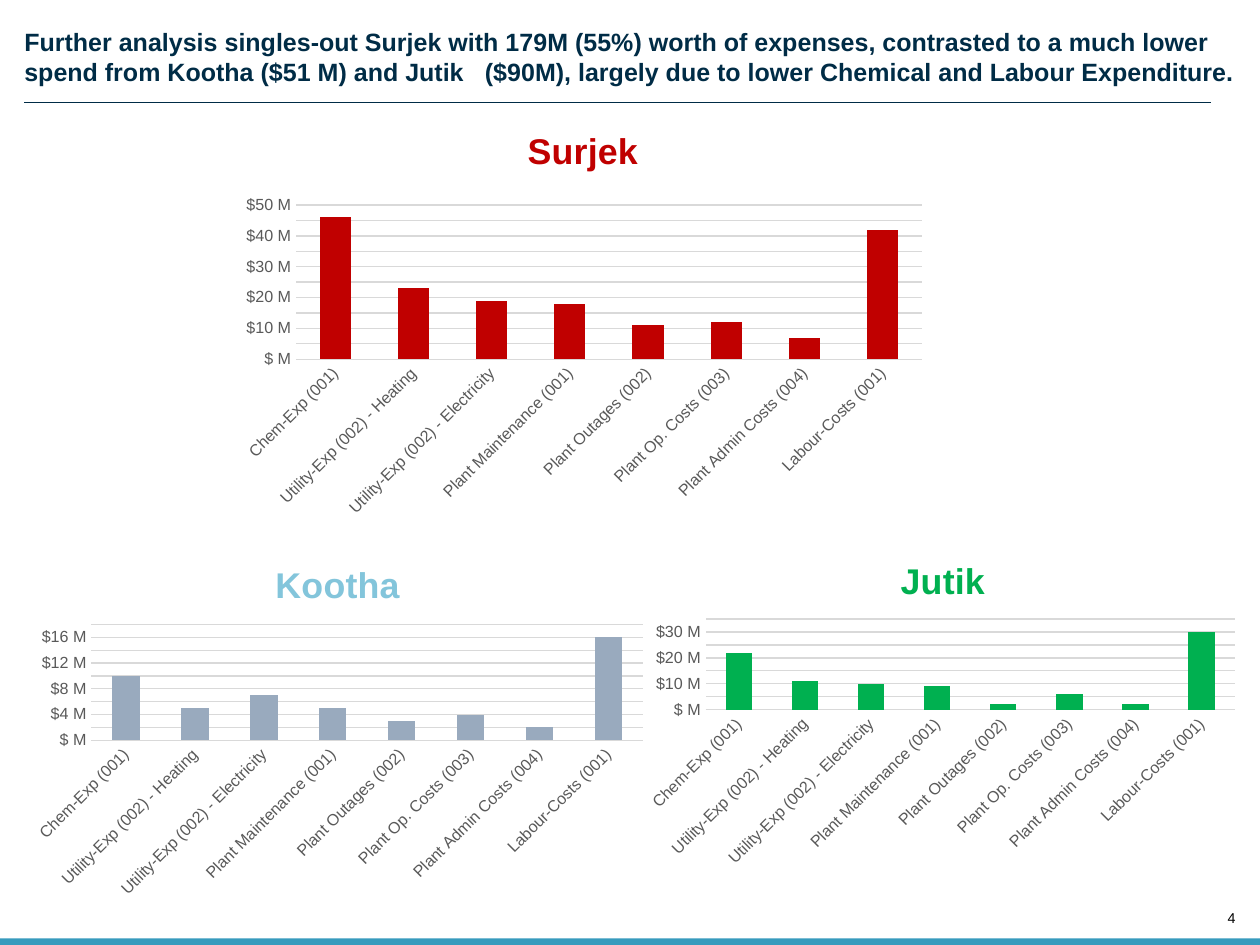
from lxml.etree import SubElement
from pptx import Presentation
from pptx.chart.data import CategoryChartData as ChartData
from pptx.dml.color import RGBColor
from pptx.enum.chart import XL_CHART_TYPE as ChartType, XL_TICK_MARK as Tick
from pptx.enum.shapes import MSO_CONNECTOR as Conn, MSO_SHAPE as Shape
from pptx.enum.text import MSO_ANCHOR as Anchor, PP_ALIGN as Align
from pptx.oxml.ns import qn
from pptx.util import Cm, Pt

NAVY = RGBColor(0x00, 0x2C, 0x46)
TEAL = RGBColor(0x37, 0x9B, 0xBD)
BLACK = RGBColor(0x00, 0x00, 0x00)
GREY_TEXT = RGBColor(0x59, 0x59, 0x59)
GREY_LINE = RGBColor(0xD9, 0xD9, 0xD9)
RED = RGBColor(0xC0, 0x00, 0x00)
GREEN = RGBColor(0x00, 0xB0, 0x50)
SKY = RGBColor(0x83, 0xC5, 0xDB)
STEEL = RGBColor(0x99, 0xAA, 0xBE)

MILLION = 1_000_000
WIDTH, HEIGHT = 24.89, 18.67
CATEGORIES = [
    "Chem-Exp (001)", "Utility-Exp (002) - Heating",
    "Utility-Exp (002) - Electricity", "Plant Maintenance (001)",
    "Plant Outages (002)", "Plant Op. Costs (003)",
    "Plant Admin Costs (004)", "Labour-Costs (001)",
]


class SlideBuilder:
    font_name = "Arial"

    def __init__(self, slide):
        self.s = slide

    def format_font(self, font, color, **values):
        for name, value in {"name": self.font_name, **values}.items():
            setattr(font, name, value)
        font.color.rgb = color

    def format_line(self, line, color):
        line.color.rgb = color
        line.width = Pt(0.75)

    def fill_text(self, sp, texts, align, anchor, color, wrap=True, **font):
        tf = sp.text_frame
        frame = {"margin_left": 0, "margin_right": 0, "margin_top": 0,
                 "margin_bottom": 0, "word_wrap": wrap,
                 "vertical_anchor": anchor}
        for name, value in frame.items():
            setattr(tf, name, value)
        p = tf.paragraphs[0]
        p.alignment = align
        for text in texts:
            r = p.add_run()
            r.text = text
            self.format_font(r.font, color, **font)
            if text == " ":  # a single space widened by character spacing
                r._r.get_or_add_rPr().set("spc", "750")

    def title(self, box, texts):
        sp = self.s.shapes.title
        sp.left, sp.top, sp.width, sp.height = map(Cm, box)
        self.fill_text(sp, texts, Align.LEFT, Anchor.TOP, NAVY,
                       size=Pt(14), bold=True)

    def page_number(self, box, text):
        sp = self.s.shapes.add_textbox(*map(Cm, box))
        self.fill_text(sp, [text], Align.RIGHT, Anchor.BOTTOM, BLACK,
                       wrap=False, size=Pt(8))

    def bar(self, box, color):
        sp = self.s.shapes.add_shape(Shape.RECTANGLE, *map(Cm, box))
        sp.shadow.inherit = False
        sp.fill.solid()
        sp.fill.fore_color.rgb = color
        sp.line.fill.background()

    def rule(self, ends, color):
        line = self.s.shapes.add_connector(Conn.STRAIGHT, *map(Cm, ends))
        self.format_line(line.line, color)
        SubElement(line._element.spPr, qn("a:effectLst"))

    def set_layout(self, parent, index, inner=False, **fractions):
        for old in parent.findall(qn("c:layout")):
            parent.remove(old)
        layout = SubElement(parent, qn("c:layout"))
        parent.insert(index, layout)
        manual = SubElement(layout, qn("c:manualLayout"))
        values = {"layoutTarget": "inner"} if inner else {}
        values.update(xMode="edge", yMode="edge", **fractions)
        for tag, value in values.items():
            SubElement(manual, qn(f"c:{tag}")).set("val", str(value))

    def column_chart(self, name, box, values, top, step, title_color,
                     bar_color, title_at, plot_box):
        data = ChartData()
        data.categories = CATEGORIES
        data.add_series(name, [v * MILLION for v in values])
        chart = self.s.shapes.add_chart(
            ChartType.COLUMN_STACKED, *map(Cm, box), data).chart
        chart.has_legend = False
        self.format_font(chart.font, BLACK, size=Pt(10))

        # Chart title
        chart.has_title = True
        r = chart.chart_title.text_frame.paragraphs[0].add_run()
        r.text = name
        self.format_font(r.font, title_color, size=Pt(20), bold=True)
        self.set_layout(chart.chart_title._element, 1,
                        **dict(zip("xy", title_at)))

        # Columns
        plot = chart.plots[0]
        plot.gap_width, plot.overlap = 150, 100
        plot.vary_by_categories = False
        fill = plot.series[0].format.fill
        fill.solid()
        fill.fore_color.rgb = bar_color
        self.set_layout(chart._chartSpace.chart.plotArea, 0, inner=True,
                        **dict(zip("xywh", plot_box)))

        # Axes
        cat, val = chart.category_axis, chart.value_axis
        for axis in (cat, val):
            axis.major_tick_mark = axis.minor_tick_mark = Tick.NONE
            self.format_font(axis.tick_labels.font, GREY_TEXT, size=Pt(9))
        self.format_line(cat.format.line, GREY_LINE)
        cat._element.find(qn("c:txPr")).find(qn("a:bodyPr")).set(
            "rot", "-2700000")
        scale = {"minimum_scale": 0, "maximum_scale": top * MILLION,
                 "major_unit": step * MILLION, "has_major_gridlines": True}
        for attr, value in scale.items():
            setattr(val, attr, value)
        val.format.line.fill.background()
        self.format_line(val.major_gridlines.format.line, GREY_LINE)
        val.tick_labels.number_format = '"$"#,," M";'
        val.tick_labels.number_format_is_linked = False


prs = Presentation()
prs.slide_width, prs.slide_height = Cm(WIDTH), Cm(HEIGHT)
page = SlideBuilder(prs.slides.add_slide(prs.slide_layouts[5]))

# Footer
page.page_number((24.05, 17.98, 0.36, 0.33), "4")
page.bar((0, 18.54, WIDTH, 0.13), TEAL)

# Headline
page.title((0.48, 0.53, 24.28, 1.19),
           ["Further analysis singles-out Surjek with 179M (55%) worth of "
            "expenses, contrasted to a much lower spend from Kootha ($51 M) "
            "and Jutik", " ", "($90M), largely due to lower Chemical and "
            "Labour Expenditure."])
page.rule((0.48, 2.03, 23.93, 2.03), NAVY)

# Expense charts, values in millions
page.column_chart("Kootha", (0.43, 10.69, 12.52, 7.16),
                  (10, 5, 7, 5, 3, 4, 2, 16), 18, 2,
                  SKY, STEEL, (0.39, 0.04), (0.11, 0.23, 0.87, 0.32))
page.column_chart("Surjek", (4.6, 2.16, 13.89, 8.23),
                  (46, 23, 19, 18, 11, 12, 7, 42), 50, 5,
                  RED, RED, (0.41, 0.03), (0.09, 0.23, 0.89, 0.37))
page.column_chart("Jutik", (12.62, 10.64, 12.01, 6.63),
                  (22, 11, 10, 9, 2, 6, 2, 30), 35, 5,
                  GREEN, GREEN, (0.42, 0.04), (0.11, 0.24, 0.87, 0.27))

prs.save("out.pptx")
